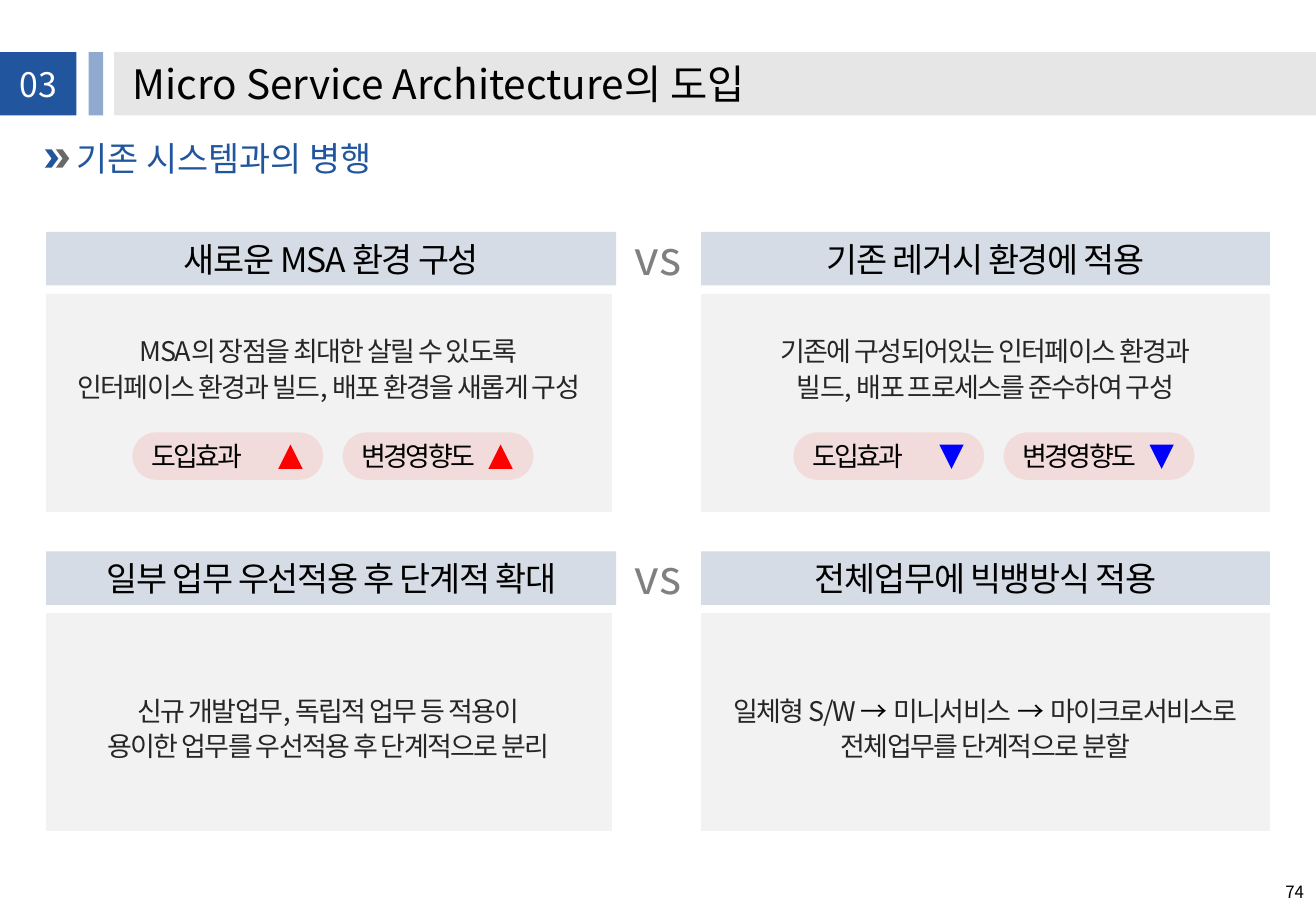
from dataclasses import dataclass

from lxml.etree import SubElement
from pptx import Presentation
from pptx.dml.color import RGBColor
from pptx.enum.shapes import MSO_SHAPE
from pptx.enum.text import MSO_ANCHOR, MSO_AUTO_SIZE, PP_ALIGN
from pptx.oxml.ns import qn
from pptx.util import Inches, Pt


@dataclass(frozen=True)
class Theme:
    font: str = "Noto Sans CJK KR"
    navy: str = "21569E"
    band: str = "E7E6E6"
    chevron: str = "696969"
    header: str = "D6DCE5"
    panel: str = "F2F2F2"
    pill: str = "F2DCDB"
    up: str = "FF0000"
    down: str = "0000FF"
    black: str = "000000"
    white: str = "FFFFFF"
    body_ink: str = "262626"
    versus_ink: str = "808080"
    title: int = 24
    heading: int = 20
    body: int = 16
    versus: int = 28
    page_number: int = 10


@dataclass(frozen=True)
class Column:
    left: float
    header_width: float
    panel_width: float
    pill_indent: float


THEME = Theme()
WIDTH, HEIGHT = 10.83, 7.5
LEFT = Column(0.38, 4.69, 4.65, 0.71)
RIGHT = Column(5.77, 4.68, 4.68, 0.76)
ROW_TOP, ROW_PITCH = 1.91, 2.63
HEADER_HEIGHT, PANEL_OFFSET, PANEL_HEIGHT = 0.44, 0.51, 1.79
PILL_WIDTH, PILL_HEIGHT, PILL_PITCH = 1.57, 0.39, 1.73
MARK_SIZE = 0.2


def add_block(page, kind, box, color, line=None):
    shape = page.shapes.add_shape(kind, *map(Inches, box))
    shape.shadow.inherit = False
    shape.fill.solid()
    shape.fill.fore_color.rgb = RGBColor.from_string(color)
    if line:
        shape.line.color.rgb = RGBColor.from_string(line)
        shape.line.width = Pt(0.5)
    else:
        shape.line.fill.background()
    return shape


def write(shape, lines, size, color, align=PP_ALIGN.CENTER, anchor=MSO_ANCHOR.MIDDLE,
          inset=(0.1, 0.05), wrap=True, grow=False, leading=1.0, tracking=0):
    """Fill a shape with text; odd spans of a tuple line are untracked black arrows."""
    frame = shape.text_frame
    frame.word_wrap = wrap
    frame.vertical_anchor = anchor
    frame.auto_size = MSO_AUTO_SIZE.SHAPE_TO_FIT_TEXT if grow else MSO_AUTO_SIZE.NONE
    frame.margin_left = frame.margin_right = Inches(inset[0])
    frame.margin_top = frame.margin_bottom = Inches(inset[1])
    for index, line in enumerate(lines):
        para = frame.add_paragraph() if index else frame.paragraphs[0]
        para.alignment = align
        para.line_spacing = leading
        para.font.size = Pt(size)
        para.font.color.rgb = RGBColor.from_string(color)
        para.font.name = THEME.font
        defaults = para._p.get_or_add_pPr().find(qn("a:defRPr"))
        defaults.set("spc", str(round(tracking * 100)))
        SubElement(defaults, qn("a:ea"), typeface=THEME.font)
        for place, words in enumerate(line if isinstance(line, tuple) else (line,)):
            span = para.add_run()
            span.text = words
            if place % 2:
                span.font.color.rgb = RGBColor.from_string(THEME.black)
                span._r.get_or_add_rPr().set("spc", "0")


def add_text(page, box, lines, size, color, **options):
    write(page.shapes.add_textbox(*map(Inches, box)), lines, size, color, **options)


def add_title_band(page, top, height, number, title):
    # Band, number tile and translucent stripe
    add_block(page, MSO_SHAPE.RECTANGLE, (0.94, top, WIDTH - 0.94, height), THEME.band)
    add_block(page, MSO_SHAPE.RECTANGLE, (0, top, 0.63, height), THEME.navy)
    stripe = add_block(page, MSO_SHAPE.RECTANGLE, (0.73, top, 0.12, height), THEME.navy)
    SubElement(stripe.fill._xPr.find(".//" + qn("a:srgbClr")), qn("a:alpha"), val="50000")

    # Title and section number
    add_text(page, (1.09, top + 0.1, 5.24, 0.36), [title], THEME.title, THEME.black,
             align=PP_ALIGN.LEFT, anchor=MSO_ANCHOR.BOTTOM, inset=(0, 0),
             wrap=False, grow=True, leading=0.9)
    add_text(page, (0.08, top + 0.13, 0.47, 0.3), [number], THEME.heading, THEME.white,
             inset=(0, 0), grow=True, leading=0.9)


def add_subtitle(page, left, top, words):
    for step, color in enumerate((THEME.navy, THEME.chevron)):
        add_block(page, MSO_SHAPE.CHEVRON, (left + step * 0.09, top + 0.06, 0.11, 0.15), color)
    add_text(page, (left + 0.26, top, 9.82, 0.3), [words], THEME.heading, THEME.navy,
             align=PP_ALIGN.LEFT, inset=(0, 0), grow=True, leading=0.9)


def add_pills(page, left, top, rising):
    for step, label in enumerate(("도입효과", "변경영향도")):
        x = left + step * PILL_PITCH
        pill = add_block(page, MSO_SHAPE.ROUNDED_RECTANGLE,
                         (x, top, PILL_WIDTH, PILL_HEIGHT), THEME.pill)
        pill.adjustments[0] = 0.5
        write(pill, [label], THEME.body, THEME.black, align=PP_ALIGN.LEFT,
              inset=(0.1, 0), tracking=-1.5)
        mark = add_block(page, MSO_SHAPE.FLOWCHART_EXTRACT,
                         (x + 1.2, top + 0.1, MARK_SIZE, MARK_SIZE),
                         THEME.up if rising else THEME.down)
        mark.rotation = 0 if rising else 180


def add_option(page, column, top, heading, lines, rising):
    # Heading bar
    bar = add_block(page, MSO_SHAPE.RECTANGLE,
                    (column.left, top, column.header_width, HEADER_HEIGHT), THEME.header)
    write(bar, [heading], THEME.heading, THEME.black, wrap=False, tracking=-0.8)

    # Panel and description
    panel_top = top + PANEL_OFFSET
    add_block(page, MSO_SHAPE.RECTANGLE,
              (column.left, panel_top, column.panel_width, PANEL_HEIGHT),
              THEME.panel, THEME.panel)
    text_offset = 0.64 if rising is None else 0.31
    add_text(page, (column.left, panel_top + text_offset, column.panel_width, 0.58), lines,
             THEME.body, THEME.body_ink, anchor=MSO_ANCHOR.TOP, inset=(0, 0),
             grow=True, leading=1.1, tracking=-0.9)

    # Effect pills
    if rising is not None:
        add_pills(page, column.left + column.pill_indent, panel_top + 1.14, rising)


def add_comparison(page, top, options):
    for column, option in zip((LEFT, RIGHT), options):
        add_option(page, column, top, *option)
    add_text(page, (5.12, top - 0.08, 0.59, 0.57), ["vs"], THEME.versus, THEME.versus_ink,
             anchor=MSO_ANCHOR.TOP, wrap=False, grow=True)


COMPARISONS = [
    [("새로운 MSA 환경 구성",
      ["MSA의 장점을 최대한 살릴 수 있도록",
       "인터페이스 환경과 빌드, 배포 환경을 새롭게 구성"], True),
     ("기존 레거시 환경에 적용",
      ["기존에 구성되어있는 인터페이스 환경과",
       "빌드, 배포 프로세스를 준수하여 구성"], False)],
    [("일부 업무 우선적용 후 단계적 확대",
      ["신규 개발업무, 독립적 업무 등 적용이",
       "용이한 업무를 우선적용 후 단계적으로 분리"], None),
     ("전체업무에 빅뱅방식 적용",
      [("일체형 S/W ", "→", " 미니서비스", " → ", "마이크로서비스로"),
       "전체업무를 단계적으로 분할"], None)],
]


def main():
    deck = Presentation()
    deck.slide_width, deck.slide_height = Inches(WIDTH), Inches(HEIGHT)
    page = deck.slides.add_slide(deck.slide_layouts[6])
    add_title_band(page, 0.43, 0.52, "03", "Micro Service Architecture의 도입")
    add_subtitle(page, 0.37, 1.17, "기존 시스템과의 병행")
    for row, options in enumerate(COMPARISONS):
        add_comparison(page, ROW_TOP + row * ROW_PITCH, options)
    # Page number
    add_text(page, (WIDTH - 1.13, 7.14, 1.13, 0.4), ["74"], THEME.page_number, THEME.black,
             align=PP_ALIGN.RIGHT)
    deck.save("out.pptx")


if __name__ == "__main__":
    main()
